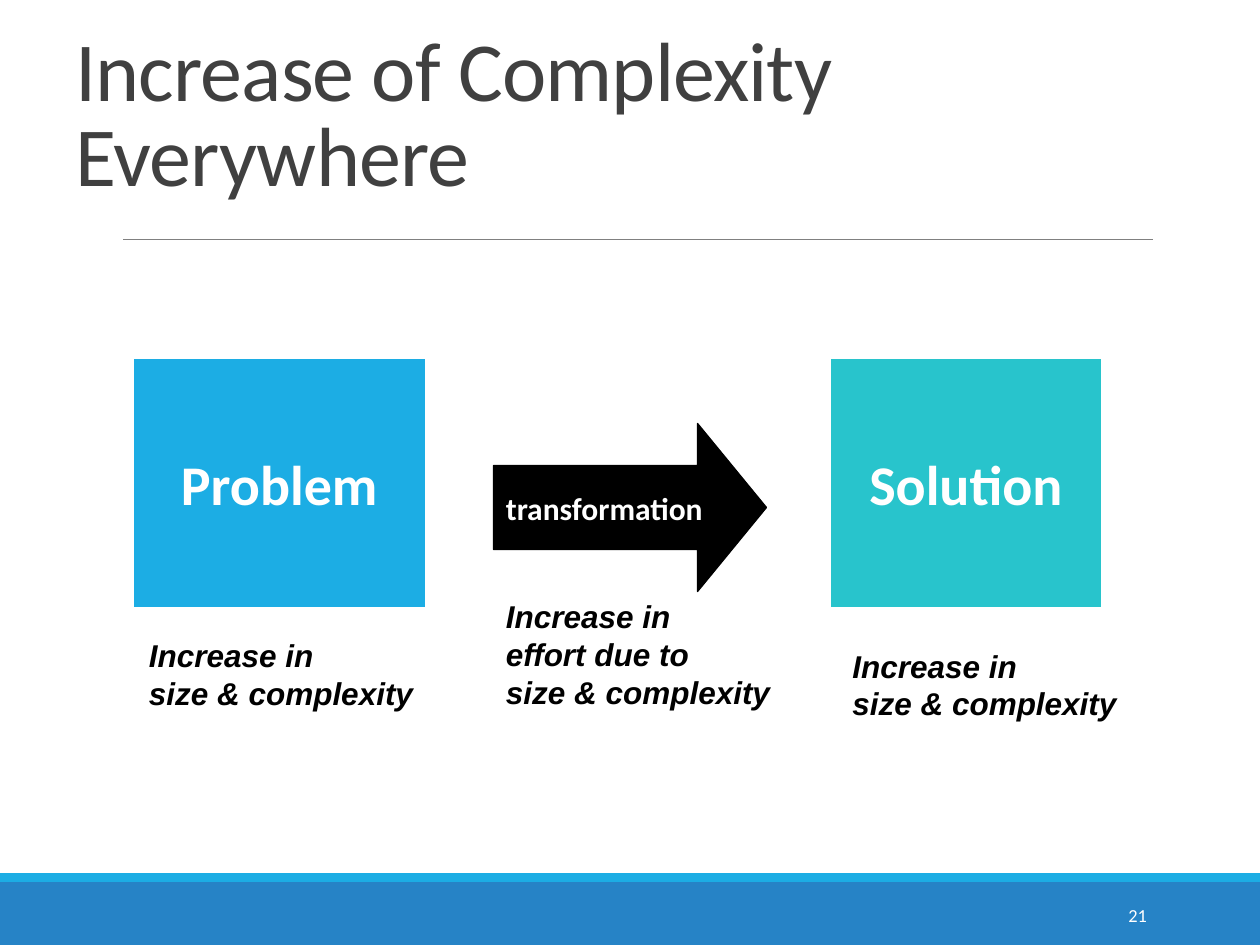
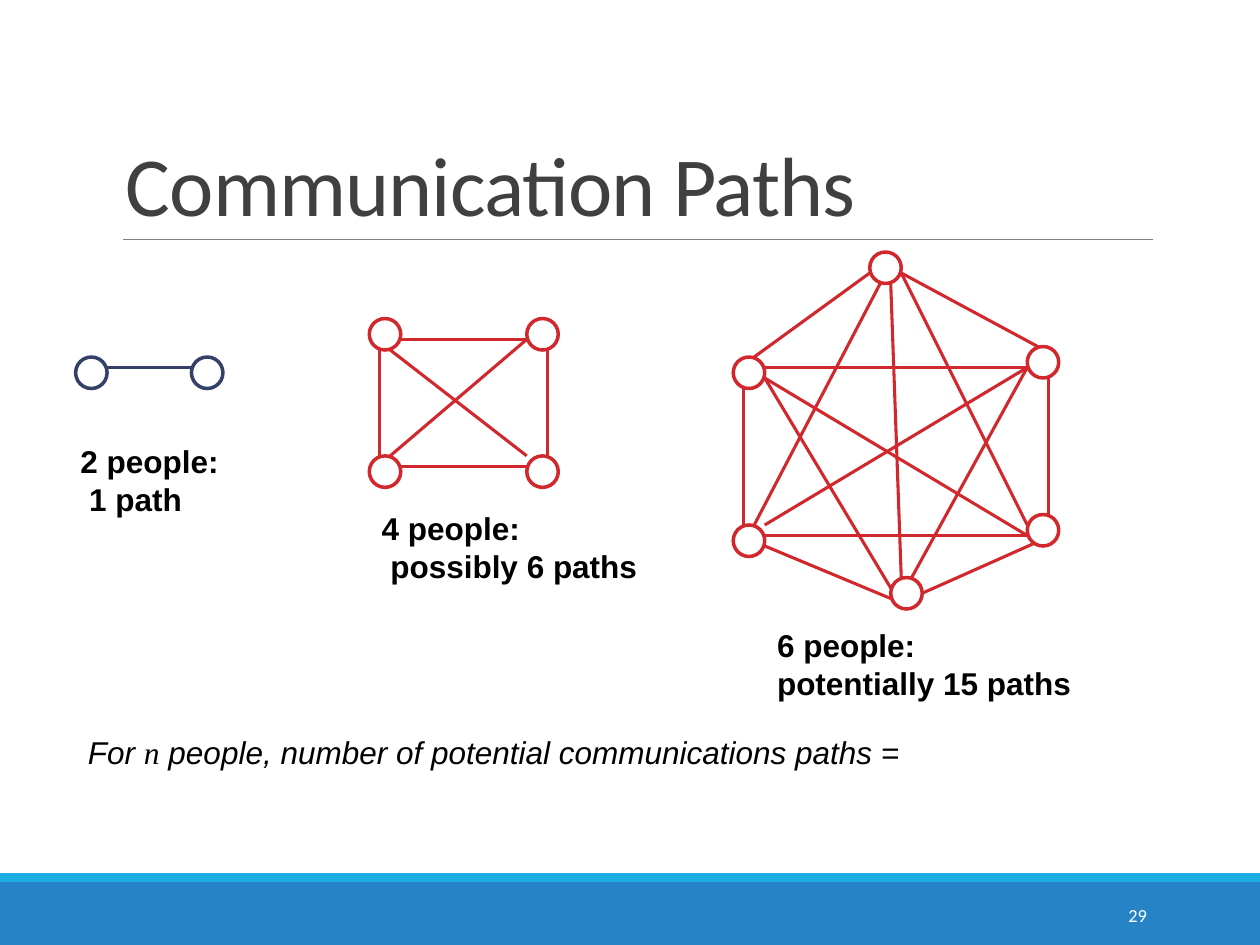
from dataclasses import dataclass
from typing import NamedTuple

from lxml import etree
from pptx import Presentation
from pptx.dml.color import RGBColor
from pptx.enum import shapes, text
from pptx.oxml import ns
from pptx.util import Pt

COLORS = {
    "band": "2683C6", "sky": "1CADE4", "teal": "28C4CC", "rule": "808080",
    "title": "404040", "navy": "344068", "red": "D1282E",
    "black": "000000", "white": "FFFFFF",
}
NODE_SIZE = 18
PORT_STEP = 6


class Box(NamedTuple):
    left: float
    top: float
    width: float
    height: float

    def lengths(self) -> list:
        return [Pt(value) for value in self]


class Link(NamedTuple):
    start: str
    start_port: tuple
    end: str
    end_port: tuple


@dataclass(frozen=True)
class Style:
    size: float
    font: str
    color: str
    bold: bool = False
    italic: bool = False


@dataclass(frozen=True)
class Block:
    kind: shapes.MSO_SHAPE
    box: Box
    label: str
    fill: str
    line: str
    line_width: float
    style: Style
    align: text.PP_ALIGN


@dataclass(frozen=True)
class Caption:
    box: Box
    label: str
    wrap: bool = False
    second_line_indent: float = 0


@dataclass(frozen=True)
class Network:
    color: str
    nodes: dict
    links: list
    caption: Caption


TITLE = Style(48, "Calibri", "title")
NUMBER = Style(10.5, "Calibri", "white")
BLOCK_LABEL = Style(32, "Calibri", "white", bold=True)
ARROW_LABEL = Style(18, "Calibri", "white", bold=True)
EFFECT = Style(18, "Arial", "black", bold=True, italic=True)
PEOPLE = Style(18, "Arial", "black", bold=True)
FORMULA = Style(18, "Arial", "black", italic=True)
VARIABLE = Style(18, "Times New Roman", "black", italic=True)

BLOCKS = [
    Block(shapes.MSO_SHAPE.RECTANGLE, Box(75.6, 204, 168, 144), "Problem",
          "sky", "white", 2, BLOCK_LABEL, text.PP_ALIGN.CENTER),
    Block(shapes.MSO_SHAPE.RIGHT_ARROW, Box(282, 242, 156, 96), "transformation",
          "black", "black", 0.75, ARROW_LABEL, text.PP_ALIGN.LEFT),
    Block(shapes.MSO_SHAPE.RECTANGLE, Box(474, 204, 156, 144), "Solution",
          "teal", "white", 2, BLOCK_LABEL, text.PP_ALIGN.CENTER),
]
EFFECTS = [
    Caption(Box(78, 360, 165.6, 50.4), "Increase in\nsize & complexity"),
    Caption(Box(282, 337.7, 171.4, 72.7),
            "Increase in\neffort due to\nsize & complexity"),
    Caption(Box(480, 366, 165.6, 50.4), "Increase in\nsize & complexity"),
]
NETWORKS = [
    Network(
        "navy",
        {"left": (43.2, 204), "right": (109.4, 204)},
        [Link("left", (3, 1), "right", (0, 1))],
        Caption(Box(38.9, 249.1, 94.3, 51), "2 people:\n1 path",
                second_line_indent=5),
    ),
    Network(
        "red",
        {"top left": (211, 182), "top right": (301, 182),
         "low right": (301, 260.5), "low left": (211, 260.5)},
        [
            Link("low left", (3, 1), "low right", (0, 1)),
            Link("top left", (1, 3), "low left", (1, 0)),
            Link("top left", (3, 2), "top right", (0, 2)),
            Link("top right", (2, 3), "low right", (2, 0)),
            Link("top right", (0, 2), "low left", (2, 0)),
            Link("low right", (0, 0), "top left", (2, 3)),
        ],
        Caption(Box(211, 287.3, 162, 51), "4 people:\npossibly 6 paths",
                second_line_indent=5),
    ),
    Network(
        "red",
        {"top": (497, 144), "top right": (587, 198), "low right": (587, 294),
         "bottom": (509, 330), "low left": (419, 300), "top left": (419, 204)},
        [
            Link("bottom", (3, 1.5), "low right", (1, 2.6)),
            Link("top left", (1, 3), "low left", (1, 0)),
            Link("top right", (2, 3), "low right", (2, 0)),
            Link("low left", (3, 2), "bottom", (0, 2)),
            Link("top left", (2, 0), "top", (0, 2)),
            Link("top", (3, 2), "top right", (1, 0)),
            Link("low left", (2, 0), "top", (1, 3)),
            Link("bottom", (1, 0), "top", (2, 3)),
            Link("bottom", (2, 0), "top right", (0, 2)),
            Link("low right", (0, 1), "top", (3, 2)),
            Link("low left", (3, 0), "top right", (0, 2)),
            Link("top left", (3, 1), "top right", (0, 2)),
            Link("top left", (3, 2), "bottom", (0, 1)),
            Link("top left", (3, 2), "low right", (0, 2)),
            Link("low left", (3, 1), "low right", (0, 2)),
        ],
        Caption(Box(437, 354.2, 194.4, 51), "6 people:\npotentially 15 paths",
                wrap=True),
    ),
]


def rgb(name: str) -> RGBColor:
    return RGBColor.from_string(COLORS[name])


def format_run(run, style: Style) -> None:
    run.font.size = Pt(style.size)
    run.font.name = style.font
    run.font.bold = style.bold
    run.font.italic = style.italic
    run.font.color.rgb = rgb(style.color)


def write(text_frame, label: str, style: Style, align=text.PP_ALIGN.LEFT) -> None:
    text_frame.text = label
    for paragraph in text_frame.paragraphs:
        paragraph.alignment = align
        for run in paragraph.runs:
            format_run(run, style)


def add_text(parent, box: Box, label: str, style: Style, wrap: bool = True,
             anchor=text.MSO_ANCHOR.TOP, align=text.PP_ALIGN.LEFT):
    shape = parent.add_textbox(*box.lengths())
    shape.text_frame.word_wrap = wrap
    shape.text_frame.vertical_anchor = anchor
    write(shape.text_frame, label, style, align)
    return shape


def add_caption(parent, caption: Caption, style: Style) -> None:
    shape = add_text(parent, caption.box, caption.label, style, caption.wrap)
    if caption.second_line_indent:
        properties = shape.text_frame.paragraphs[1]._p.get_or_add_pPr()
        properties.set("marL", str(Pt(caption.second_line_indent)))
        properties.set("indent", "0")


def add_filled(parent, kind, box: Box, fill: str, line: str = "", width: float = 0):
    shape = parent.add_shape(kind, *box.lengths())
    shape.shadow.inherit = False
    shape.fill.solid()
    shape.fill.fore_color.rgb = rgb(fill)
    if line:
        shape.line.color.rgb = rgb(line)
        shape.line.width = Pt(width)
    else:
        shape.line.fill.background()
    return shape


def add_line(parent, start: tuple, end: tuple, color: str, width: float) -> None:
    ends = [Pt(value) for value in (*start, *end)]
    connector = parent.add_connector(shapes.MSO_CONNECTOR.STRAIGHT, *ends)
    connector.line.color.rgb = rgb(color)
    connector.line.width = Pt(width)
    etree.SubElement(connector._element.spPr, ns.qn("a:effectLst"))


def add_block(parent, block: Block) -> None:
    shape = add_filled(parent, block.kind, block.box, block.fill,
                       block.line, block.line_width)
    if block.kind == shapes.MSO_SHAPE.RIGHT_ARROW:
        shape.adjustments[1] = 0.41
    shape.text_frame.vertical_anchor = text.MSO_ANCHOR.MIDDLE
    shape.text_frame.word_wrap = True
    write(shape.text_frame, block.label, block.style, block.align)


def port_position(node: tuple, port: tuple) -> tuple:
    return tuple(origin + step * PORT_STEP for origin, step in zip(node, port))


def add_network(slide, network: Network) -> None:
    group = slide.shapes.add_group_shape().shapes
    for link in network.links:
        add_line(group,
                 port_position(network.nodes[link.start], link.start_port),
                 port_position(network.nodes[link.end], link.end_port),
                 network.color, 1.75)
    for left, top in network.nodes.values():
        add_filled(group, shapes.MSO_SHAPE.OVAL,
                   Box(left, top, NODE_SIZE, NODE_SIZE), "white", network.color, 2)
    add_caption(group, network.caption, PEOPLE)


def add_slide(presentation, title: str, title_box: Box, number: int):
    slide = presentation.slides.add_slide(presentation.slide_layouts[6])
    rectangle = shapes.MSO_SHAPE.RECTANGLE
    add_filled(slide.shapes, rectangle, Box(0, 504, 720, 36), "band")
    add_filled(slide.shapes, rectangle, Box(0, 499, 720, 5), "sky")
    add_line(slide.shapes, (70.5, 136.8), (658.8, 136.8), "rule", 0.5)
    heading = add_text(slide.shapes, title_box, title, TITLE,
                       anchor=text.MSO_ANCHOR.BOTTOM)
    paragraph = heading.text_frame.paragraphs[0]
    paragraph.line_spacing = 0.85
    paragraph.runs[0]._r.get_or_add_rPr().set("spc", "-50")
    add_text(slide.shapes, Box(584.6, 508.3, 77.8, 28.8), str(number), NUMBER,
             anchor=text.MSO_ANCHOR.MIDDLE, align=text.PP_ALIGN.RIGHT)
    return slide


def add_complexity_slide(presentation) -> None:
    slide = add_slide(presentation, "Increase of Complexity Everywhere",
                      Box(36, 12.2, 510, 108), 21)
    for block in BLOCKS:
        add_block(slide.shapes, block)
    for effect in EFFECTS:
        add_caption(slide.shapes, effect, EFFECT)


def add_paths_slide(presentation) -> None:
    slide = add_slide(presentation, "Communication Paths",
                      Box(64.8, 22.3, 594, 114.5), 29)
    for network in NETWORKS:
        add_network(slide, network)
    formula = add_text(slide.shapes, Box(43.2, 415.4, 579, 51), "For ", FORMULA)
    paragraph = formula.text_frame.paragraphs[0]
    for label, style in [
        ("n", VARIABLE),
        (" people, number of potential communications paths =", FORMULA),
    ]:
        run = paragraph.add_run()
        run.text = label
        format_run(run, style)


def main() -> None:
    presentation = Presentation()
    presentation.slide_width = Pt(720)
    presentation.slide_height = Pt(540)
    add_complexity_slide(presentation)
    add_paths_slide(presentation)
    presentation.save("out.pptx")


if __name__ == "__main__":
    main()
